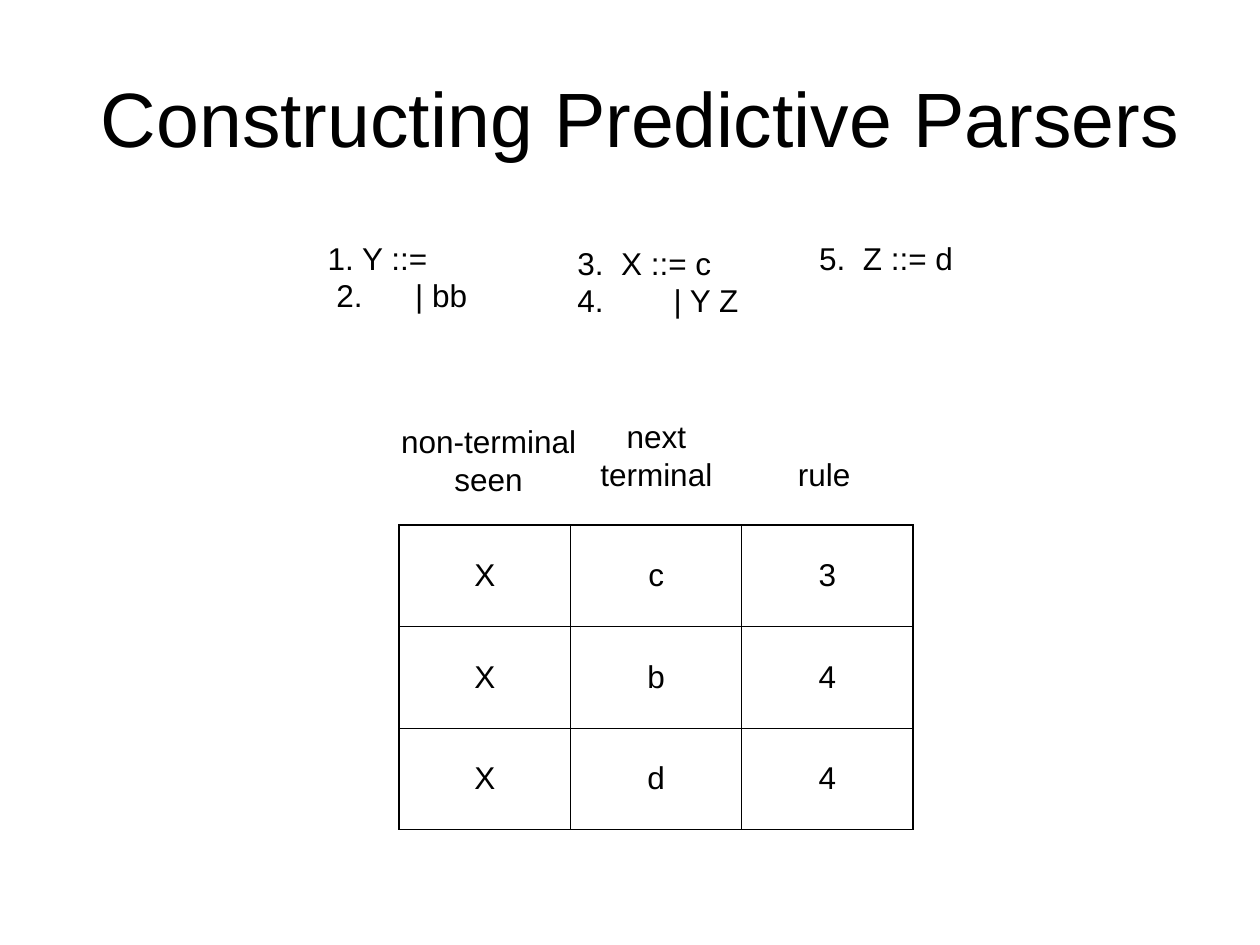
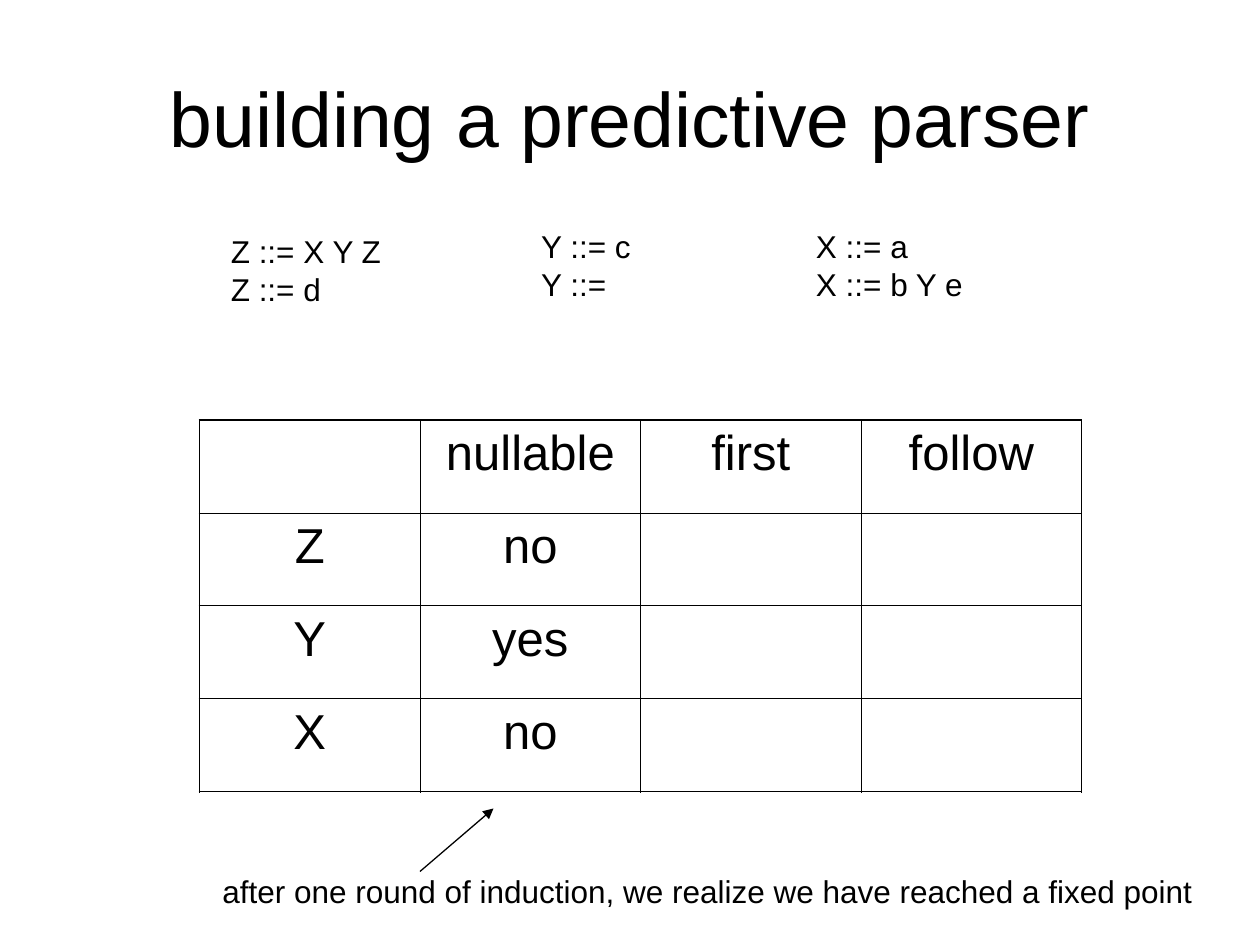
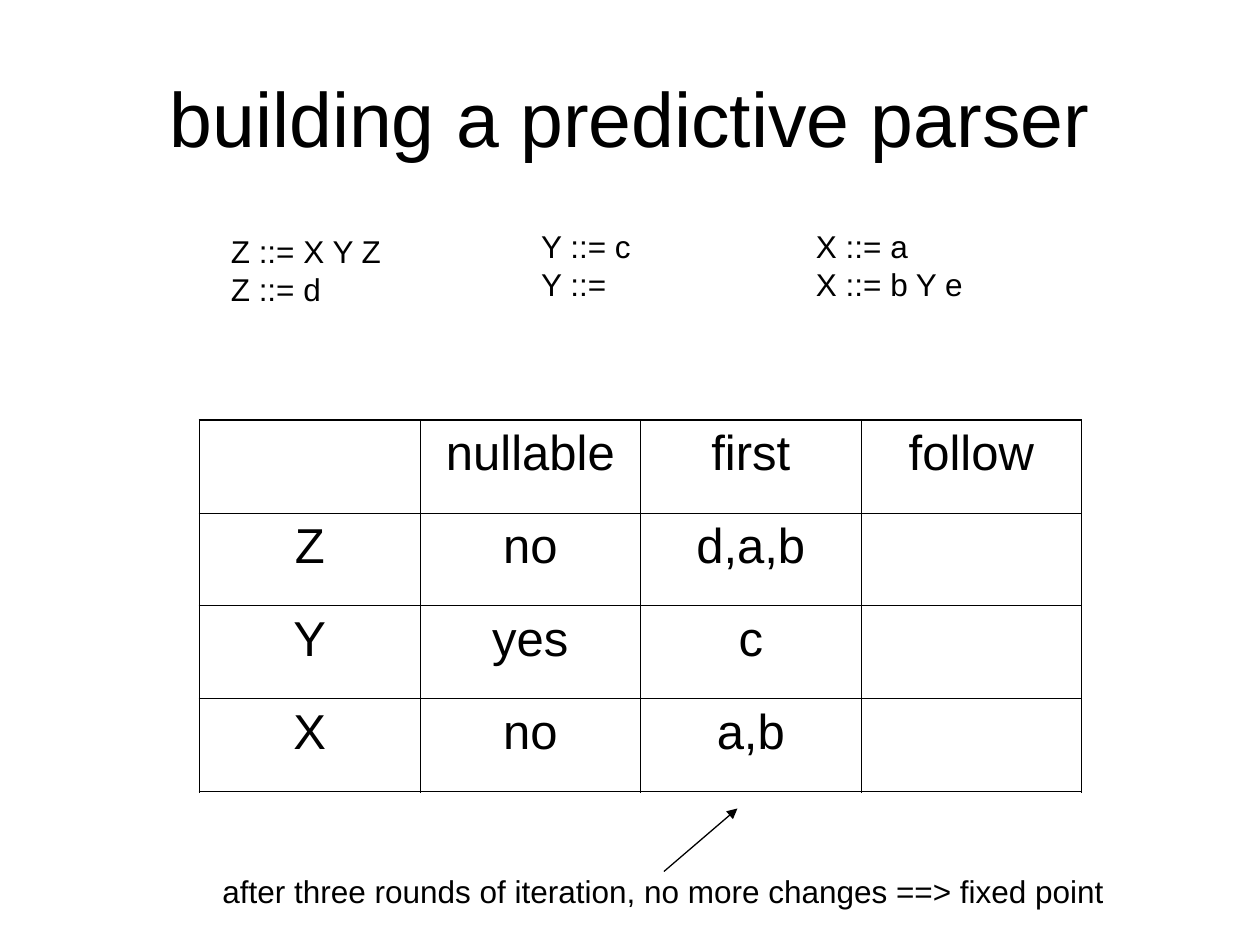
from lxml.etree import SubElement
from pptx import Presentation
from pptx.dml.color import RGBColor
from pptx.enum.shapes import MSO_CONNECTOR
from pptx.enum.text import MSO_ANCHOR, MSO_AUTO_SIZE, PP_ALIGN
from pptx.oxml.ns import qn
from pptx.util import Pt

COLORS = {"ink": "000000", "paper": "FFFFFF"}
FONT = "Arial"
OUTER, INNER = 1.08, 0.45  # table rule widths

# Content: texts are (left, top, width, lines), all in points
NUMBERED_GRAMMAR = [
    # left, top, width, lines, tab stops
    (180.2, 132.8, 97, ["1. Y ::=", "\t2.\t| bb"], [5, 50]),
    (322.8, 135.7, 110, ["3.\tX ::= c", "4.\t\t| Y Z"], [25, 55]),
    (461, 132.8, 94, ["5.\tZ ::= d"], [25]),
]
RULE_HEADINGS = [
    (220.2, 237.6, 118, ["non-terminal", "seen"]),
    (334, 234.7, 82, ["next", "terminal"]),
    (447, 256.3, 48, ["rule"]),
]
RULES = [["X", "c", "3"], ["X", "b", "4"], ["X", "d", "4"]]

GRAMMAR = [
    (124.8, 128.9, 104, ["Z ::= X Y Z", "Z ::= d"]),
    (302.2, 126.2, 69, ["Y ::= c", "Y ::="]),
    (459.2, 126.2, 102, ["X ::= a", "X ::= b Y e"]),
]
HEADER = ["", "nullable", "first", "follow"]
NULLABLE = {"Z": "no", "Y": "yes", "X": "no"}
ROUNDS = [
    {
        "first": {},
        "note": "after one round of induction, we realize we have reached a fixed point",
        "note_width": 573,
        "arrow_left": 240,
    },
    {
        "first": {"Z": "d,a,b", "Y": "c", "X": "a,b"},
        "note": "after three rounds of iteration, no more changes ==> fixed point",
        "note_width": 523,
        "arrow_left": 379.4,
    },
]


def style(paragraph, size, align):
    paragraph.alignment = align
    for run in paragraph.runs:
        run.font.size = Pt(size)
        run.font.name = FONT
        run.font.color.rgb = RGBColor.from_string(COLORS["ink"])


def add_titled_slide(deck, title, indent=0):
    slide = deck.slides.add_slide(deck.slide_layouts[5])
    slide.background.fill.solid()
    slide.background.fill.fore_color.rgb = RGBColor.from_string(COLORS["paper"])
    heading = slide.shapes.title
    heading.left, heading.top, heading.width, heading.height = map(Pt, (36, 21.6, 648, 90))
    frame = heading.text_frame
    frame.text = title
    frame.auto_size = MSO_AUTO_SIZE.NONE
    frame.vertical_anchor = MSO_ANCHOR.MIDDLE
    frame.margin_left = Pt(7.2 + indent)
    style(frame.paragraphs[0], 44, PP_ALIGN.CENTER)
    return slide


def add_lines(slide, left, top, width, lines, tab_stops=(), align=PP_ALIGN.LEFT):
    height = 7.2 + 21.6 * len(lines)
    frame = slide.shapes.add_textbox(Pt(left), Pt(top), Pt(width), Pt(height)).text_frame
    frame.text = "\n".join(lines)
    frame.word_wrap = False
    frame.auto_size = MSO_AUTO_SIZE.SHAPE_TO_FIT_TEXT
    for paragraph in frame.paragraphs:
        if tab_stops:
            tabs = SubElement(paragraph._p.get_or_add_pPr(), qn("a:tabLst"))
            for stop in tab_stops:
                SubElement(tabs, qn("a:tab"), pos=str(Pt(stop)), algn="l")
        style(paragraph, 18, align)


def add_rule(cell, side, width):
    line = SubElement(cell._tc.get_or_add_tcPr(), qn(f"a:ln{side}"), w=str(Pt(width)))
    fill = SubElement(line, qn("a:solidFill"))
    SubElement(fill, qn("a:srgbClr"), val=COLORS["ink"])


def add_grid(slide, left, top, width, height, rows, size, anchor):
    last_row, last_column = len(rows) - 1, len(rows[0]) - 1
    table = slide.shapes.add_table(
        len(rows), len(rows[0]), Pt(left), Pt(top), Pt(width), Pt(height)
    ).table
    table.first_row = table.horz_banding = False
    for r, row in enumerate(rows):
        for c, entry in enumerate(row):
            cell = table.cell(r, c)
            cell.text = entry
            cell.vertical_anchor = anchor
            edges = {"L": c == 0, "R": c == last_column, "T": r == 0, "B": r == last_row}
            for side, is_outer in edges.items():
                add_rule(cell, side, OUTER if is_outer else INNER)
            cell.fill.background()
            style(cell.text_frame.paragraphs[0], size, PP_ALIGN.CENTER)


def add_arrow(slide, left):
    arrow = slide.shapes.add_connector(
        MSO_CONNECTOR.STRAIGHT, Pt(left), Pt(498), Pt(left + 42), Pt(462)
    )
    arrow.line.width = Pt(0.75)
    arrow.line.color.rgb = RGBColor.from_string(COLORS["ink"])
    SubElement(arrow.line._get_or_add_ln(), qn("a:tailEnd"), type="triangle")
    SubElement(arrow._element.spPr, qn("a:effectLst"))


def main():
    deck = Presentation()
    deck.slide_width, deck.slide_height = Pt(720), Pt(540)

    # Parsing rules chosen by the next terminal
    slide = add_titled_slide(deck, "Constructing Predictive Parsers", indent=12.2)
    for production in NUMBERED_GRAMMAR:
        add_lines(slide, *production)
    add_grid(slide, 228.2, 300, 293.6, 174, RULES, 18, MSO_ANCHOR.MIDDLE)
    for heading in RULE_HEADINGS:
        add_lines(slide, *heading, align=PP_ALIGN.CENTER)

    # Nullable and first sets, one slide per fixed point
    for step in ROUNDS:
        slide = add_titled_slide(deck, "building a predictive parser")
        for production in GRAMMAR:
            add_lines(slide, *production)
        sets = [[symbol, nullable, step["first"].get(symbol, ""), ""]
                for symbol, nullable in NULLABLE.items()]
        add_grid(slide, 114, 240, 504, 212.4, [HEADER] + sets, 28, MSO_ANCHOR.TOP)
        add_lines(slide, 120, 494.6, step["note_width"], [step["note"]])
        add_arrow(slide, step["arrow_left"])

    deck.save("out.pptx")


if __name__ == "__main__":
    main()
